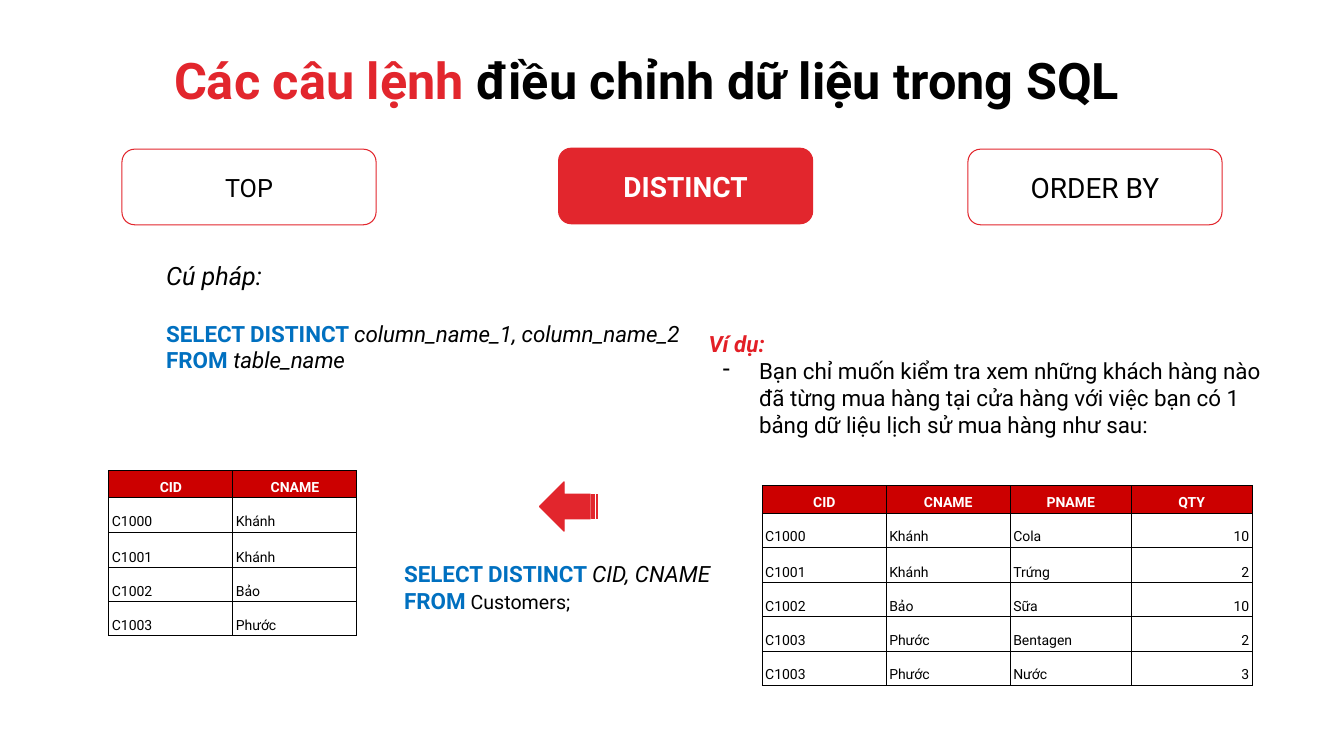
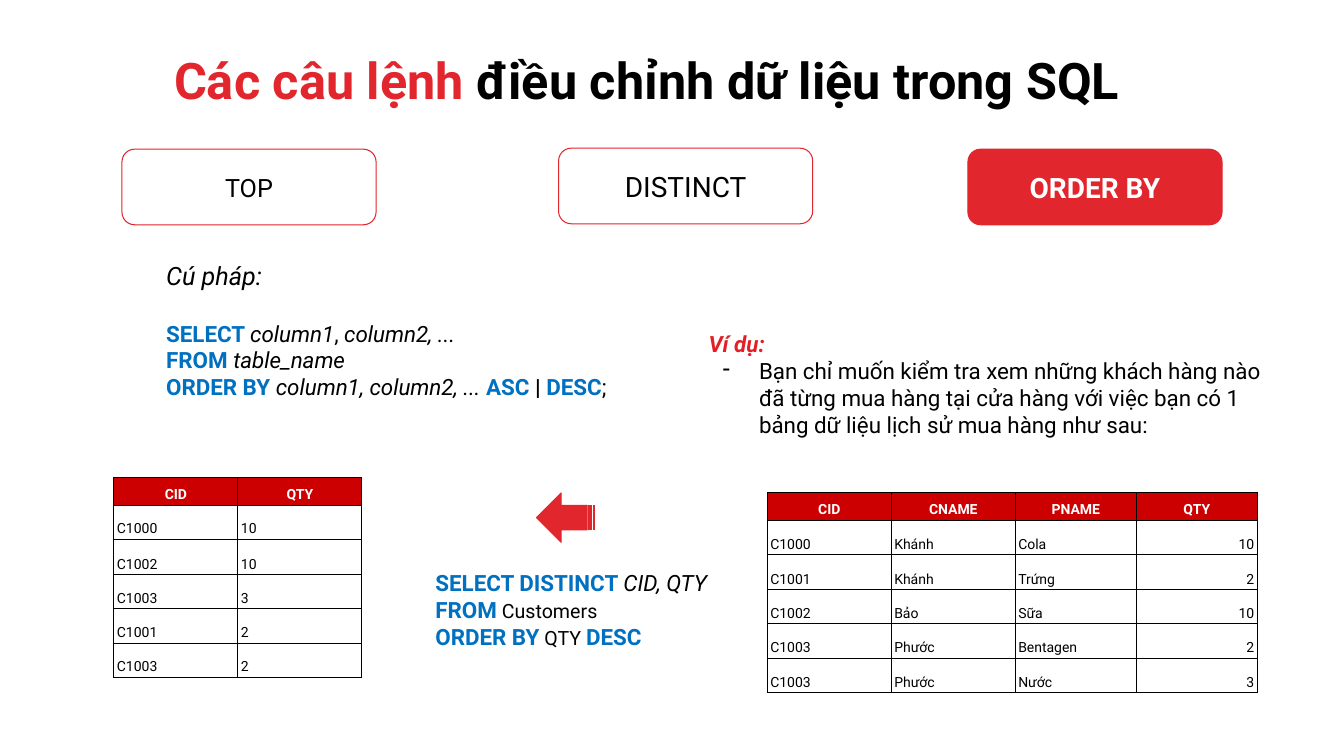
from dataclasses import dataclass
from typing import NamedTuple

from lxml import etree
from pptx import Presentation
from pptx.dml.color import RGBColor
from pptx.enum.shapes import MSO_SHAPE
from pptx.enum.text import MSO_ANCHOR, MSO_AUTO_SIZE, PP_ALIGN
from pptx.oxml.ns import qn
from pptx.slide import Slide
from pptx.table import _Cell
from pptx.text.text import TextFrame, _Paragraph, _Run
from pptx.util import Emu, Pt

ROUNDED = MSO_SHAPE.ROUNDED_RECTANGLE
ARROW = MSO_SHAPE.STRIPED_RIGHT_ARROW
TOP, MIDDLE, BOTTOM = MSO_ANCHOR.TOP, MSO_ANCHOR.MIDDLE, MSO_ANCHOR.BOTTOM
LEFT, CENTER, RIGHT = PP_ALIGN.LEFT, PP_ALIGN.CENTER, PP_ALIGN.RIGHT
FIT_SHAPE = MSO_AUTO_SIZE.SHAPE_TO_FIT_TEXT

EMU_PER_PX = 9144
FONT = "Roboto"
COLORS = {
    "red": "E2262D",
    "example": "E31F26",
    "header": "CC0000",
    "keyword": "0070C0",
    "black": "000000",
    "white": "FFFFFF",
}
TITLE_ONLY = 5
LINE_WIDTH = Pt(0.75)
TAB_WIDTH, TAB_HEIGHT = 252, 75
COLUMN_WIDTHS = (123, 123, 120, 120)
ROW_HEIGHTS = (27, 34, 35, 34, 34, 34)
QUANTITY_COLUMN = 3


class Box(NamedTuple):
    left: int
    top: int
    width: int
    height: int


class Style(NamedTuple):
    size: int
    color: str = "black"
    bold: bool = False
    italic: bool = False


class Span(NamedTuple):
    text: str
    style: Style


class Tab(NamedTuple):
    label: str
    left: int
    top: int
    size: int


Line = tuple[Span, ...]
Rows = tuple[tuple[str, ...], ...]


@dataclass(frozen=True)
class Lesson:
    active_tab: str
    syntax: tuple[Line, ...]
    query: tuple[Line, ...]
    query_box: Box
    arrow_box: Box
    source_corner: tuple[int, int]
    result_corner: tuple[int, int]
    result: Rows


KEYWORD = Style(16, "keyword", bold=True)
NAME = Style(16, italic=True)
BODY = Style(16)
SMALL = Style(14)
STRONG = Style(16, bold=True)
CELL = Style(10)
HEADER = Style(10, "white", bold=True)

TITLE_BOX = Box(76, 44, 1131, 71)
SYNTAX_BOX = Box(155, 248, 538, 162)
EXAMPLE_BOX = Box(693, 318, 590, 128)
TITLE = (
    Span("Các câu lệnh", Style(36, "red", bold=True)),
    Span(" điều chỉnh dữ liệu trong SQL", Style(36, bold=True)),
)
TABS = (
    Tab("TOP", 121, 148, 18),
    Tab("DISTINCT", 554, 147, 20),
    Tab("ORDER BY", 960, 148, 20),
)
SYNTAX_HEADING = (Span("Cú pháp:", Style(18, italic=True)),)
EXAMPLE = (
    (Span("Ví dụ:", Style(16, "example", bold=True, italic=True)),),
    (Span(
        "Bạn chỉ muốn kiểm tra xem những khách hàng nào đã từng mua hàng "
        "tại cửa hàng với việc bạn có 1 bảng dữ liệu lịch sử mua hàng như sau:",
        BODY,
    ),),
)
PURCHASES = (
    ("CID", "CNAME", "PNAME", "QTY"),
    ("C1000", "Khánh", "Cola", "10"),
    ("C1001", "Khánh", "Trứng", "2"),
    ("C1002", "Bảo", "Sữa", "10"),
    ("C1003", "Phước", "Bentagen", "2"),
    ("C1003", "Phước", "Nước", "3"),
)
FROM_TABLE = (Span("FROM ", KEYWORD), Span("table_name", NAME))

LESSONS = (
    Lesson(
        active_tab="DISTINCT",
        syntax=(
            (Span("SELECT DISTINCT ", KEYWORD), Span("column_name_1, column_name_2", NAME)),
            FROM_TABLE,
        ),
        query=(
            (Span("SELECT DISTINCT ", KEYWORD), Span("CID, CNAME", NAME)),
            (Span("FROM", KEYWORD), Span(" Customers;", SMALL)),
        ),
        query_box=Box(391, 546, 328, 74),
        arrow_box=Box(535, 478, 58, 49),
        source_corner=(756, 482),
        result_corner=(108, 467),
        result=(
            ("CID", "CNAME"),
            ("C1000", "Khánh"),
            ("C1001", "Khánh"),
            ("C1002", "Bảo"),
            ("C1003", "Phước"),
        ),
    ),
    Lesson(
        active_tab="ORDER BY",
        syntax=(
            (
                Span("SELECT ", KEYWORD),
                Span("column1", NAME),
                Span(",", BODY),
                Span(" column2, ...", NAME),
            ),
            FROM_TABLE,
            (
                Span("ORDER BY ", KEYWORD),
                Span("column1, column2, ... ", NAME),
                Span("ASC ", KEYWORD),
                Span("| ", STRONG),
                Span("DESC", KEYWORD),
                Span(";", BODY),
            ),
        ),
        query=(
            (Span("SELECT DISTINCT ", KEYWORD), Span("CID, QTY", NAME)),
            (Span("FROM", KEYWORD), Span(" Customers", SMALL)),
            (Span("ORDER BY", KEYWORD), Span(" QTY ", SMALL), Span("DESC", KEYWORD)),
        ),
        query_box=Box(422, 555, 328, 101),
        arrow_box=Box(532, 489, 58, 49),
        source_corner=(761, 489),
        result_corner=(113, 474),
        result=(
            ("CID", "QTY"),
            ("C1000", "10"),
            ("C1002", "10"),
            ("C1003", "3"),
            ("C1001", "2"),
            ("C1003", "2"),
        ),
    ),
)


def px(length: int) -> Emu:
    return Emu(length * EMU_PER_PX)


def place(box: Box) -> tuple[Emu, ...]:
    return tuple(px(length) for length in box)


def rgb(name: str) -> RGBColor:
    return RGBColor.from_string(COLORS[name])


def format_run(run: _Run, style: Style) -> None:
    run.font.name = FONT
    run.font.size = Pt(style.size)
    run.font.bold = style.bold
    run.font.italic = style.italic
    run.font.color.rgb = rgb(style.color)


def write_line(paragraph: _Paragraph, line: Line, alignment: PP_ALIGN = LEFT) -> None:
    paragraph.alignment = alignment
    for span in line:
        run = paragraph.add_run()
        run.text = span.text
        format_run(run, span.style)


def set_margins(target: TextFrame | _Cell, horizontal: int, vertical: int) -> None:
    target.margin_left = target.margin_right = px(horizontal)
    target.margin_top = target.margin_bottom = px(vertical)


def add_title(slide: Slide) -> None:
    title = slide.shapes.title
    title.left, title.top, title.width, title.height = place(TITLE_BOX)
    frame = title.text_frame
    frame.word_wrap = True
    frame.auto_size = FIT_SHAPE
    frame.vertical_anchor = TOP
    set_margins(frame, 10, 5)
    write_line(frame.paragraphs[0], TITLE, CENTER)


def add_text(slide: Slide, box: Box, lines: tuple[Line, ...]) -> TextFrame:
    frame = slide.shapes.add_textbox(*place(box)).text_frame
    frame.word_wrap = True
    frame.auto_size = FIT_SHAPE
    set_margins(frame, 10, 10)
    for index, line in enumerate(lines):
        paragraph = frame.add_paragraph() if index else frame.paragraphs[0]
        write_line(paragraph, line)
    return frame


def add_dash(paragraph: _Paragraph) -> None:
    properties = paragraph._p.get_or_add_pPr()
    properties.set("marL", str(px(50)))
    properties.set("indent", str(px(-36)))
    bullet_color = etree.SubElement(properties, qn("a:buClr"))
    etree.SubElement(bullet_color, qn("a:srgbClr"), val=COLORS["black"])
    etree.SubElement(properties, qn("a:buChar"), char="-")


def add_preset(slide: Slide, preset: MSO_SHAPE, box: Box, fill: str):
    shape = slide.shapes.add_shape(preset, *place(box))
    shape.shadow.inherit = False
    shape.fill.solid()
    shape.fill.fore_color.rgb = rgb(fill)
    shape.line.color.rgb = rgb("red")
    shape.line.width = LINE_WIDTH
    return shape


def add_tab(slide: Slide, tab: Tab, active: bool) -> None:
    box = Box(tab.left, tab.top, TAB_WIDTH, TAB_HEIGHT)
    shape = add_preset(slide, ROUNDED, box, "red" if active else "white")
    frame = shape.text_frame
    frame.vertical_anchor = MIDDLE
    set_margins(frame, 10, 10)
    style = Style(tab.size, "white" if active else "black", bold=active)
    write_line(frame.paragraphs[0], (Span(tab.label, style),), CENTER)


def add_borders(cell: _Cell) -> None:
    properties = cell._tc.get_or_add_tcPr()
    for side in ("lnL", "lnR", "lnT", "lnB"):
        border = etree.SubElement(properties, qn(f"a:{side}"), w=str(LINE_WIDTH))
        fill = etree.SubElement(border, qn("a:solidFill"))
        etree.SubElement(fill, qn("a:srgbClr"), val=COLORS["black"])


def format_cell(cell: _Cell, text: str, is_header: bool, alignment: PP_ALIGN) -> None:
    add_borders(cell)
    cell.fill.solid()
    cell.fill.fore_color.rgb = rgb("header" if is_header else "white")
    cell.vertical_anchor = BOTTOM
    set_margins(cell, 3, 2)
    paragraph = cell.text_frame.paragraphs[0]
    paragraph.line_spacing = 1.15
    write_line(paragraph, (Span(text, HEADER if is_header else CELL),), alignment)


def add_data_table(slide: Slide, corner: tuple[int, int], rows: Rows) -> None:
    widths, heights = COLUMN_WIDTHS[:len(rows[0])], ROW_HEIGHTS[:len(rows)]
    box = Box(*corner, sum(widths), sum(heights))
    table = slide.shapes.add_table(len(rows), len(widths), *place(box)).table
    table.first_row = table.horz_banding = False
    for column, width in zip(table.columns, widths):
        column.width = px(width)
    for row_index, (row, height) in enumerate(zip(rows, heights)):
        table.rows[row_index].height = px(height)
        for column_index, text in enumerate(row):
            alignment = RIGHT if column_index == QUANTITY_COLUMN else LEFT
            is_header = row_index == 0
            cell = table.cell(row_index, column_index)
            format_cell(cell, text, is_header, CENTER if is_header else alignment)


def add_lesson(slide: Slide, lesson: Lesson) -> None:
    add_title(slide)
    for tab in TABS:
        add_tab(slide, tab, tab.label == lesson.active_tab)
    syntax = add_text(slide, SYNTAX_BOX, (SYNTAX_HEADING, *lesson.syntax))
    syntax.paragraphs[1].space_before = Pt(21)
    example = add_text(slide, EXAMPLE_BOX, EXAMPLE)
    add_dash(example.paragraphs[1])
    add_data_table(slide, lesson.source_corner, PURCHASES)
    add_preset(slide, ARROW, lesson.arrow_box, "red").rotation = 180
    add_text(slide, lesson.query_box, lesson.query)
    add_data_table(slide, lesson.result_corner, lesson.result)


def main() -> None:
    presentation = Presentation()
    presentation.slide_width, presentation.slide_height = px(1333), px(750)
    for lesson in LESSONS:
        add_lesson(presentation.slides.add_slide(presentation.slide_layouts[TITLE_ONLY]), lesson)
    presentation.save("out.pptx")


if __name__ == "__main__":
    main()
